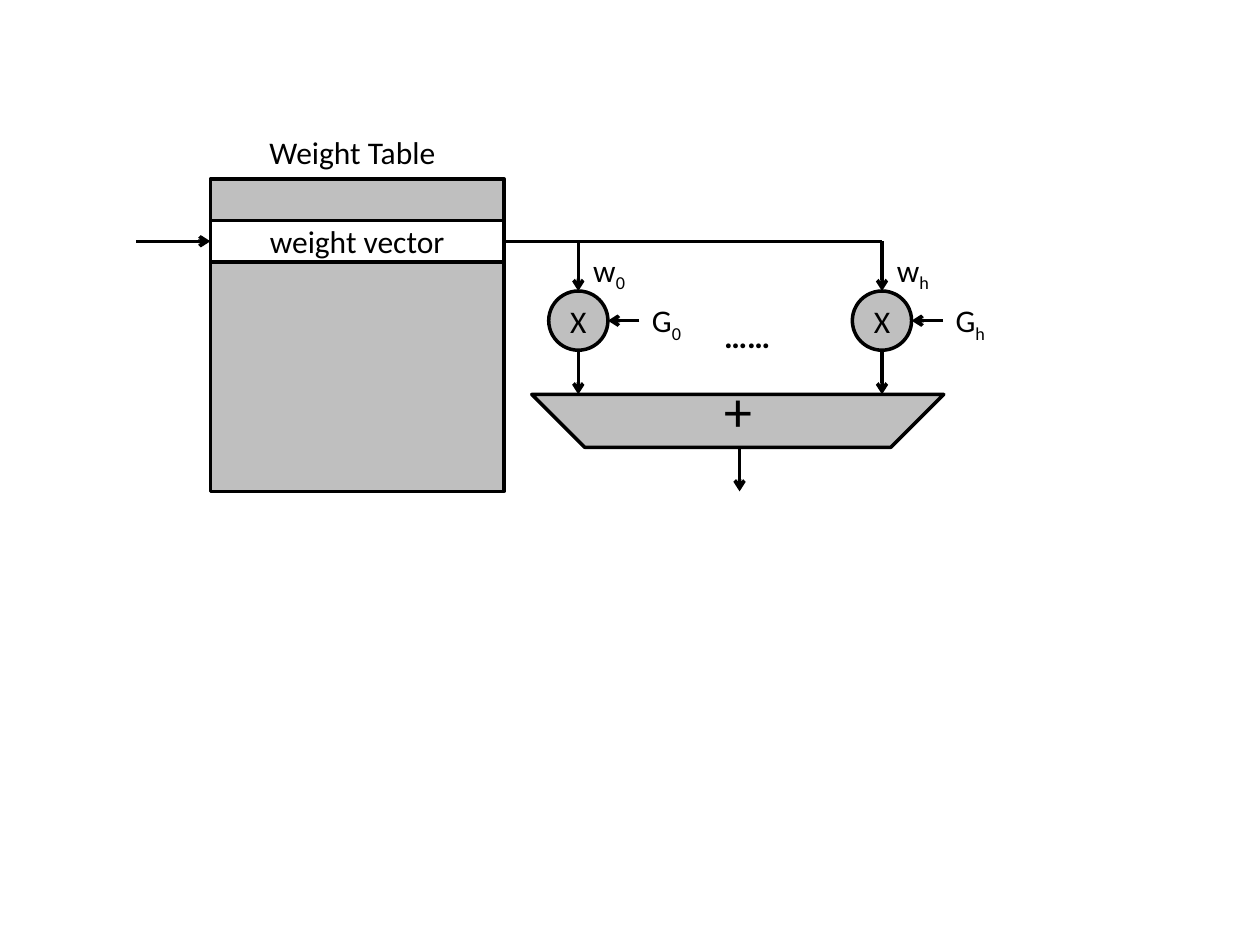
from pptx import Presentation
from pptx.util import Inches, Pt
from pptx.dml.color import RGBColor
from pptx.enum.shapes import MSO_CONNECTOR, MSO_SHAPE
from pptx.enum.text import MSO_ANCHOR, PP_ALIGN
from pptx.oxml.ns import qn
from lxml import etree

BLACK = RGBColor(0, 0, 0)
WHITE = RGBColor(255, 255, 255)
GRAY = RGBColor(0xBF, 0xBF, 0xBF)
RECT, OVAL, TRAPEZOID = MSO_SHAPE.RECTANGLE, MSO_SHAPE.OVAL, MSO_SHAPE.TRAPEZOID
STRAIGHT = MSO_CONNECTOR.STRAIGHT
CENTER, LEFT = PP_ALIGN.CENTER, PP_ALIGN.LEFT
MIDDLE = MSO_ANCHOR.MIDDLE

prs = Presentation()
prs.slide_width, prs.slide_height = Inches(10), Inches(7.5)
s = prs.slides.add_slide(prs.slide_layouts[6])


def add_node(box, kind=None, fill=GRAY, text="", sub="", size=18, align=CENTER):
    box = [Inches(v) for v in box]
    if kind is None:
        sp = s.shapes.add_textbox(*box)
    else:
        sp = s.shapes.add_shape(kind, *box)
        sp.shadow.inherit = False
        sp.fill.solid()
        sp.fill.fore_color.rgb = fill
        sp.line.color.rgb = BLACK
        sp.line.width = Pt(2)
        sp.text_frame.vertical_anchor = MIDDLE
    tf = sp.text_frame
    tf.word_wrap = True
    p = tf.paragraphs[0]
    p.alignment = align
    for part, offset in ((text, None), (sub, "-25000")):
        if part:
            r = p.add_run()
            r.text = part
            r.font.name, r.font.size = "Calibri", Pt(size)
            r.font.color.rgb = BLACK
            if offset:
                r.font._element.set("baseline", offset)
    return sp


def add_wire(x1, y1, x2, y2, arrow=True):
    c = s.shapes.add_connector(STRAIGHT, *[Inches(v) for v in (x1, y1, x2, y2)])
    c.line.color.rgb = BLACK
    c.line.width = Pt(2)
    if arrow:
        etree.SubElement(c.line._get_or_add_ln(), qn("a:tailEnd"), type="arrow")
    etree.SubElement(c._element.spPr, qn("a:effectLst"))


table_x, table_w = 1.67, 2.33
table_right = table_x + table_w
table_top, table_bottom = 1.42, 3.9
row_top, row_h = 1.75, 0.33
bus_y = row_top + row_h / 2
diameter, circle_top = 0.47, 2.31
circle_mid, circle_bottom = circle_top + diameter / 2, circle_top + diameter
adder_x, adder_top, adder_w, adder_h = 4.22, 3.13, 3.27, 0.42
lanes = {"0": 4.59, "h": 7}

add_node((table_x, table_top, table_w, table_bottom - table_top), RECT)
add_node((table_x, row_top, table_w, row_h), RECT, WHITE, "weight vector")
add_node((2.04, 1.01, 1.58, 0.4), text="Weight Table", align=LEFT)
add_wire(1.08, bus_y, table_x, bus_y)
add_wire(table_right, bus_y, lanes["h"], bus_y, arrow=False)

for index, x in lanes.items():
    edge = x + diameter / 2
    add_wire(x, bus_y, x, circle_top)
    add_node((x + 0.02, 1.94, 0.55, 0.4), text="w", sub=index, align=LEFT)
    add_node((x - diameter / 2, circle_top, diameter, diameter), OVAL, text="X")
    add_wire(edge + 0.25, circle_mid, edge, circle_mid)
    add_node((edge + 0.25, 2.34, 0.55, 0.4), text="G", sub=index, align=LEFT)
    add_wire(x, circle_bottom, x, adder_top)

dots = add_node((5.38, 2.16, 1.1, 0.46), sub="……", size=32)
dots.text_frame.paragraphs[0].runs[0].font.bold = True

adder = add_node((adder_x, adder_top, adder_w, adder_h), TRAPEZOID, text="+", size=32)
adder.rotation = 180
adder.adjustments[0] = 1.0
add_wire(5.87, adder_top + adder_h, 5.87, table_bottom)

prs.save("out.pptx")
